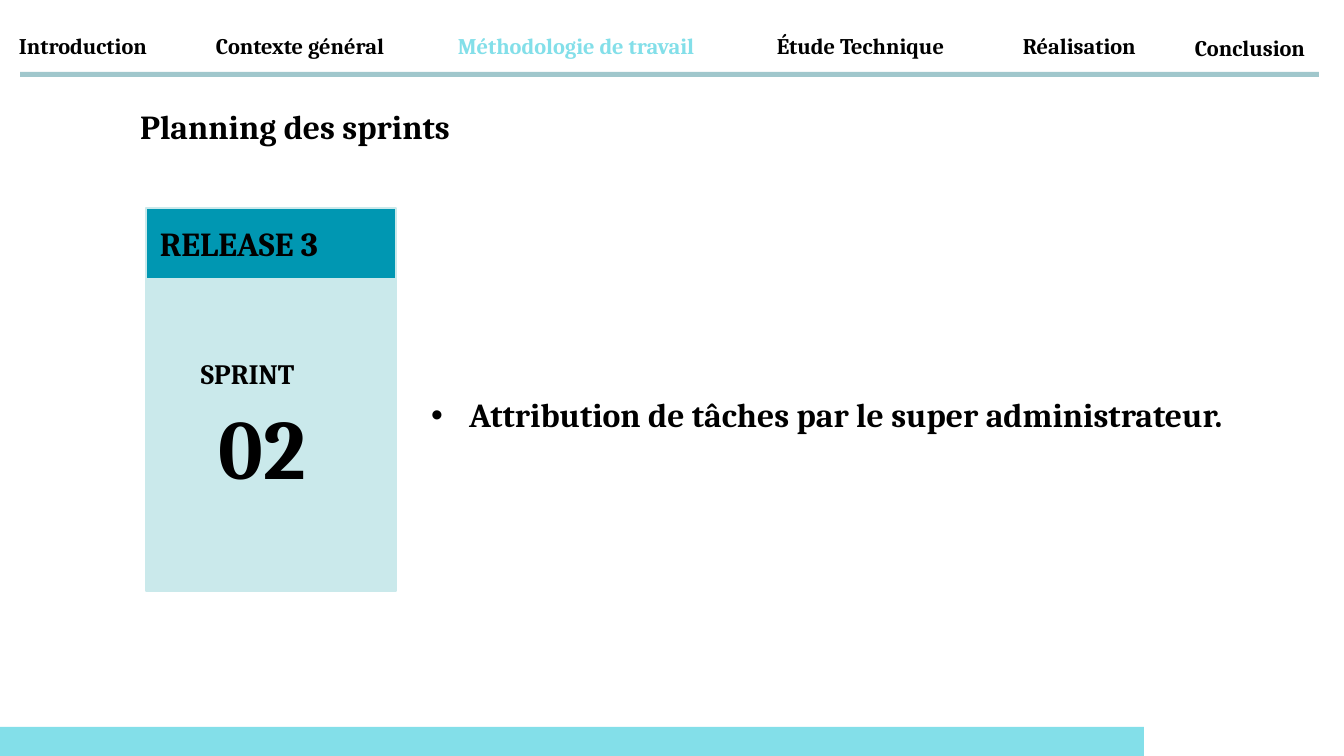
import pptx
import pptx.util
import pptx.dml.color
import pptx.enum.shapes
import pptx.enum.text

EMU_PER_PX = 914400 / 100.8
SLIDE_WIDTH, SLIDE_HEIGHT = 1344, 756
FONT = "Cambria"
COLOURS = {
    "text": "000000",
    "accent": "83DFE9",
    "rule": "A0C7CC",
    "release": "0097B2",
    "sprint": "CAE9EB",
}
# Section label, left, top, width
SECTIONS = [
    ("Introduction", 9, 27, 170),
    ("Contexte général", 206, 27, 220),
    ("Méthodologie de travail", 448, 27, 300),
    ("Étude Technique", 767, 27, 220),
    ("Réalisation", 1013, 27, 160),
    ("Conclusion", 1185, 29, 150),
]
CURRENT_SECTION = "Méthodologie de travail"


def px(length):
    return pptx.util.Emu(round(length * EMU_PER_PX))


def colour(name):
    return pptx.dml.color.RGBColor.from_string(COLOURS[name])


def place(shape, left, top, width, height):
    shape.left, shape.top = px(left), px(top)
    shape.width, shape.height = px(width), px(height)


def write(shape, text, size, colour_name="text",
          anchor=pptx.enum.text.MSO_ANCHOR.TOP):
    frame = shape.text_frame
    frame.word_wrap = True
    frame.auto_size = pptx.enum.text.MSO_AUTO_SIZE.NONE
    frame.vertical_anchor = anchor
    para = frame.paragraphs[0]
    para.alignment = pptx.enum.text.PP_ALIGN.LEFT
    para.space_before = pptx.util.Pt(0)
    span = para.add_run()
    span.text = text
    span.font.name = FONT
    span.font.size = pptx.util.Pt(size)
    span.font.bold = True
    span.font.color.rgb = colour(colour_name)
    return para


def add_label(page, text, size, left, top, width, height, colour_name="text"):
    box = page.shapes.add_textbox(px(left), px(top), px(width), px(height))
    write(box, text, size, colour_name)


def add_block(page, fill, left, top, width, height, line=None):
    block = page.shapes.add_shape(
        pptx.enum.shapes.MSO_SHAPE.RECTANGLE,
        px(left), px(top), px(width), px(height))
    block.shadow.inherit = False
    block.fill.solid()
    block.fill.fore_color.rgb = colour(fill)
    if line:
        block.line.color.rgb = colour(line)
        block.line.width = pptx.util.Pt(1)
    else:
        block.line.fill.background()
    return block


def add_navigation(page, left, top, width, height):
    add_block(page, "rule", left, top, width, height)
    for text, label_left, label_top, label_width in SECTIONS:
        name = "accent" if text == CURRENT_SECTION else "text"
        add_label(page, text, 16, label_left, label_top, label_width, 37, name)


def add_title(page, left, top, width, height):
    title = page.shapes.title
    place(title, left, top, width, height)
    write(title, "Planning des sprints", 24)


def add_sprint_card(page, left, top, width, height):
    header_height = 71
    add_block(page, "sprint", left, top + header_height,
              width, height - header_height, "sprint")
    header = add_block(page, "release", left, top, width, header_height, "sprint")
    header.text_frame.margin_left = px(14)
    write(header, "RELEASE 3", 24, anchor=pptx.enum.text.MSO_ANCHOR.MIDDLE)
    add_label(page, "SPRINT", 20, left + 45, top + 144, 167, 45)
    add_label(page, "02", 60, left + 63, top + 183, 160, 112)


def add_tasks(page, left, top, width, height):
    body = page.placeholders[1]
    place(body, left, top, width, height)
    para = write(body, "Attribution de tâches par le super administrateur.", 24)
    para.line_spacing = 2.0
    # Hanging indent for the bullet
    properties = para._p.get_or_add_pPr()
    properties.set("marL", str(px(38)))
    properties.set("indent", str(-px(38)))


def main():
    deck = pptx.Presentation()
    deck.slide_width, deck.slide_height = px(SLIDE_WIDTH), px(SLIDE_HEIGHT)
    page = deck.slides.add_slide(deck.slide_layouts[1])

    # Section bar and title
    add_navigation(page, 20, 72, 1299, 5)
    add_title(page, 130, 101, 891, 50)

    # Sprint card and its tasks
    add_sprint_card(page, 146, 208, 250, 383)
    add_tasks(page, 421, 349, 900, 82)

    # Progress band along the bottom
    add_block(page, "accent", 0, 727, 1144, SLIDE_HEIGHT - 727)
    deck.save("out.pptx")


if __name__ == "__main__":
    main()
